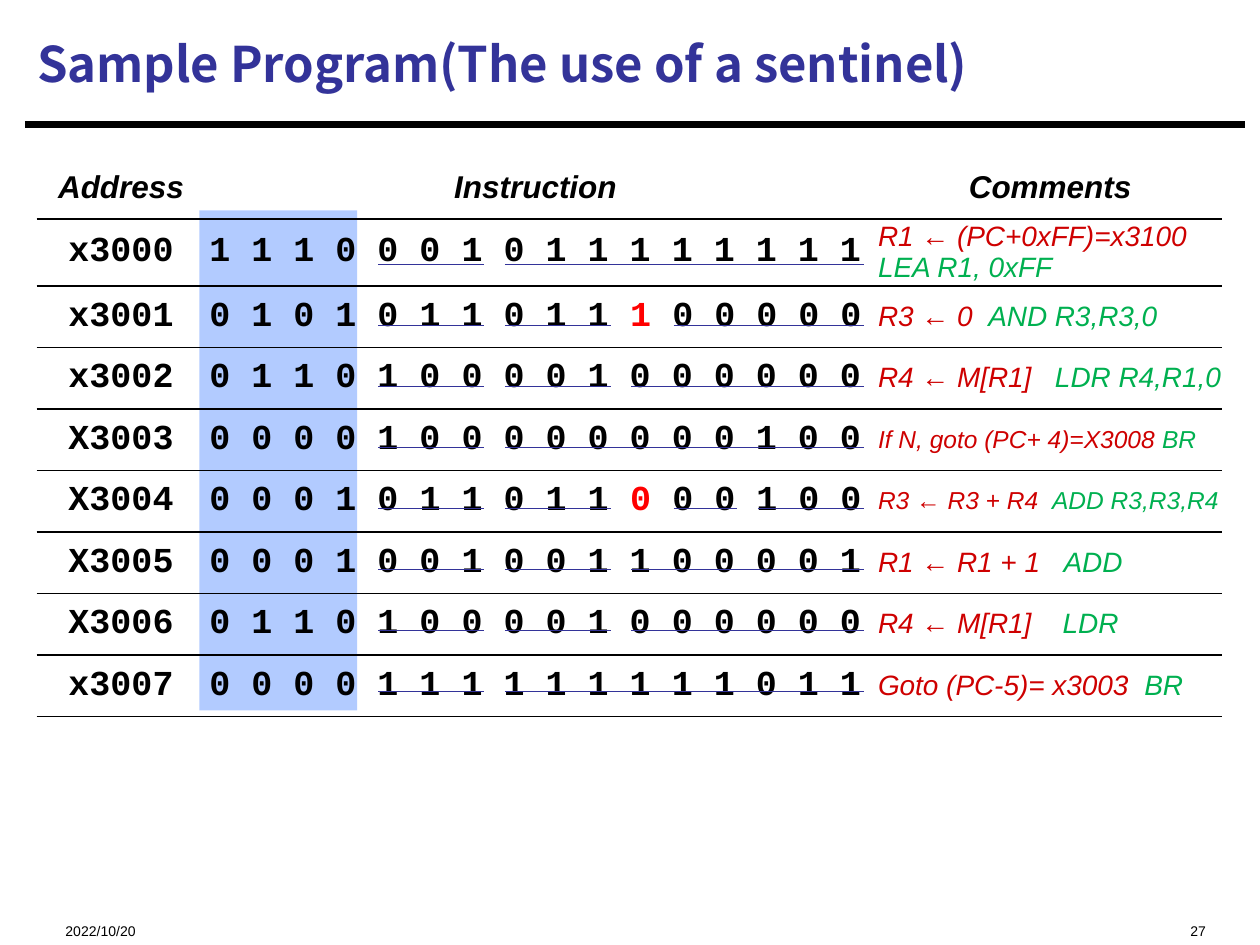
from lxml import etree
from pptx import Presentation
from pptx.dml.color import RGBColor
from pptx.enum import shapes, text
from pptx.oxml import ns
from pptx.util import Cm, Pt

BLACK = RGBColor(0x00, 0x00, 0x00)
NAVY = RGBColor(0x33, 0x33, 0x99)
BLUE = RGBColor(0x66, 0x99, 0xFF)
RED = RGBColor(0xFF, 0x00, 0x00)
BRICK = RGBColor(0xCE, 0x00, 0x00)
GREEN = RGBColor(0x00, 0xB0, 0x50)
PLAIN = "{2D5ABB26-0587-4C30-8999-92F81FD0307C}"  # no style, no grid

HEADS = ("Address", "Instruction", "Comments")
COLS = (3.15, 13.56, 7.19)
ROW = 1.24
OPCODE = 4  # bits before the first field
# Address, bits, field widths after the opcode (1 is a mode flag),
# comment size, effect, assembly
CODE = (
    ("x3000", "1110001011111111", (3, 9), 16, "R1 ← (PC+0xFF)=x3100 ", "LEA R1, 0xFF"),
    ("x3001", "0101011011100000", (3, 3, 1, 5), 16, "R3 ← 0  ", "AND R3,R3,0"),
    ("x3002", "0110100001000000", (3, 3, 6), 16, "R4 ← M[R1]   ", "LDR R4,R1,0"),
    ("X3003", "0000100000000100", (3, 9), 14, "If N, goto (PC+ 4)=X3008 ", "BR"),
    ("X3004", "0001011011000100", (3, 3, 1, 2, 3), 14, "R3 ← R3 + R4  ", "ADD R3,R3,R4"),
    ("X3005", "0001001001100001", (3, 3, 6), 16, "R1 ← R1 + 1   ", "ADD"),
    ("X3006", "0110100001000000", (3, 3, 6), 16, "R4 ← M[R1]    ", "LDR"),
    ("x3007", "0000111111111011", (3, 9), 16, "Goto (PC-5)= x3003  ", "BR"),
)


def style(font, name, size, bold=False, italic=False):
    font.name, font.size = name, Pt(size)
    font.bold, font.italic = bold, italic


def write(para, *parts):
    """Add one run for each (words, colour) pair."""
    for words, color in parts:
        run = para.add_run()
        run.text = words
        run.font.color.rgb = color


def label(slide, words, box, name, size, color, anchor, bold=False, align=None):
    frame = slide.shapes.add_textbox(*map(Cm, box)).text_frame
    frame.word_wrap = True
    frame.vertical_anchor = anchor
    frame.margin_top = frame.margin_bottom = 0
    para = frame.paragraphs[0]
    para.alignment = align
    style(para.font, name, size, bold)
    write(para, (words, color))


def rule(slide, left, right, y, color, width):
    line = slide.shapes.add_connector(
        shapes.MSO_CONNECTOR.STRAIGHT, Cm(left), Cm(y), Cm(right), Cm(y))
    line.line.color.rgb = color
    line.line.width = Pt(width)
    etree.SubElement(line._element.spPr, ns.qn("a:effectLst"))


def band(slide, box, color, alpha):
    """Draw a see-through rectangle."""
    rect = slide.shapes.add_shape(shapes.MSO_SHAPE.RECTANGLE, *map(Cm, box))
    rect.shadow.inherit = False
    rect.fill.solid()
    rect.fill.fore_color.rgb = color
    rect.line.fill.background()
    tint = rect._element.spPr.find(".//" + ns.qn("a:srgbClr"))
    etree.SubElement(tint, ns.qn("a:alpha"), val=str(alpha * 1000))


def edge(cell):
    """Give a cell its bottom border."""
    line = etree.Element(ns.qn("a:lnB"), w=str(Pt(1)))
    fill = etree.SubElement(line, ns.qn("a:solidFill"))
    etree.SubElement(fill, ns.qn("a:srgbClr"), val=str(BLACK))
    cell._tc.get_or_add_tcPr().insert(0, line)


def prep(cell, pad=0, align=text.PP_ALIGN.CENTER):
    """Set up a cell and return its paragraph."""
    cell.fill.background()
    edge(cell)
    cell.vertical_anchor = text.MSO_ANCHOR.MIDDLE
    cell.margin_left, cell.margin_right = Cm(0.25), 0
    cell.margin_top = cell.margin_bottom = Cm(pad)
    para = cell.text_frame.paragraphs[0]
    para.alignment = align
    return para


def spans(widths):
    """Yield the first bit and the width of each field."""
    first = OPCODE
    for width in widths:
        yield first, width
        first += width


def paint(bits, widths):
    """Split the bits into runs, with a mode flag in red."""
    for first, width in spans(widths):
        if width == 1:
            return ((" ".join(bits[:first]) + " ", BLACK),
                    (bits[first] + " ", RED),
                    (" ".join(bits[first + 1:]), BLACK))
    return ((" ".join(bits), BLACK),)


def listing(slide):
    grid = slide.shapes.add_table(
        len(CODE) + 1, len(COLS), Cm(0.74), Cm(3.17),
        Cm(sum(COLS)), Cm(ROW * (len(CODE) + 1))).table
    grid.horz_banding = grid.first_row = False
    grid._tbl.tblPr.find(ns.qn("a:tableStyleId")).text = PLAIN
    for col, width in zip(grid.columns, COLS):
        col.width = Cm(width)
    for row in grid.rows:
        row.height = Cm(ROW)

    for cell, head in zip(grid.rows[0].cells, HEADS):
        para = prep(cell, 0.2)
        style(para.font, "Arial", 18, True, True)
        write(para, (head, BLACK))

    for row, (addr, bits, widths, size, act, asm) in enumerate(CODE, 1):
        for col, parts in enumerate((((addr, BLACK),), paint(bits, widths))):
            para = prep(grid.cell(row, col))
            style(para.font, "Courier New", 20, True)
            write(para, *parts)
        para = prep(grid.cell(row, 2), align=text.PP_ALIGN.LEFT)
        style(para.font, "Arial", size, italic=True)
        write(para, (act, BRICK), (asm, GREEN))


def fields(slide):
    """Underline the operand fields on the grid of bits."""
    step, gap = 0.85, 0.42
    for row, (_, _, widths, *_) in enumerate(CODE):
        for first, width in spans(widths):
            if width > 1:
                left = 4.23 + first * step
                rule(slide, left, left + width * step - gap,
                     5.33 + row * 1.23, NAVY, 0.75)


def main():
    deck = Presentation()
    deck.slide_width, deck.slide_height = Cm(25.4), Cm(19.05)
    slide = deck.slides.add_slide(deck.slide_layouts[6])

    # Title and its rule
    rule(slide, 0.5, 25.1, 2.51, BLACK, 3.75)
    label(slide, "Sample Program(The use of a sentinel)", (0.5, 0.2, 24.56, 2.13),
          "Noto Sans CJK SC", 28, NAVY, text.MSO_ANCHOR.MIDDLE, True)

    # Footer
    low = text.MSO_ANCHOR.BOTTOM
    label(slide, "2022/10/20", (1.07, 18.24, 6.35, 0.69), "Arial", 8, BLACK, low)
    label(slide, "27", (16.94, 18.24, 7.62, 0.69), "Arial", 8, BLACK, low,
          align=text.PP_ALIGN.RIGHT)

    # Opcode band, program and field underlines
    band(slide, (4.02, 4.24, 3.18, 10.08), BLUE, 50)
    listing(slide)
    fields(slide)

    deck.save("out.pptx")


if __name__ == "__main__":
    main()
